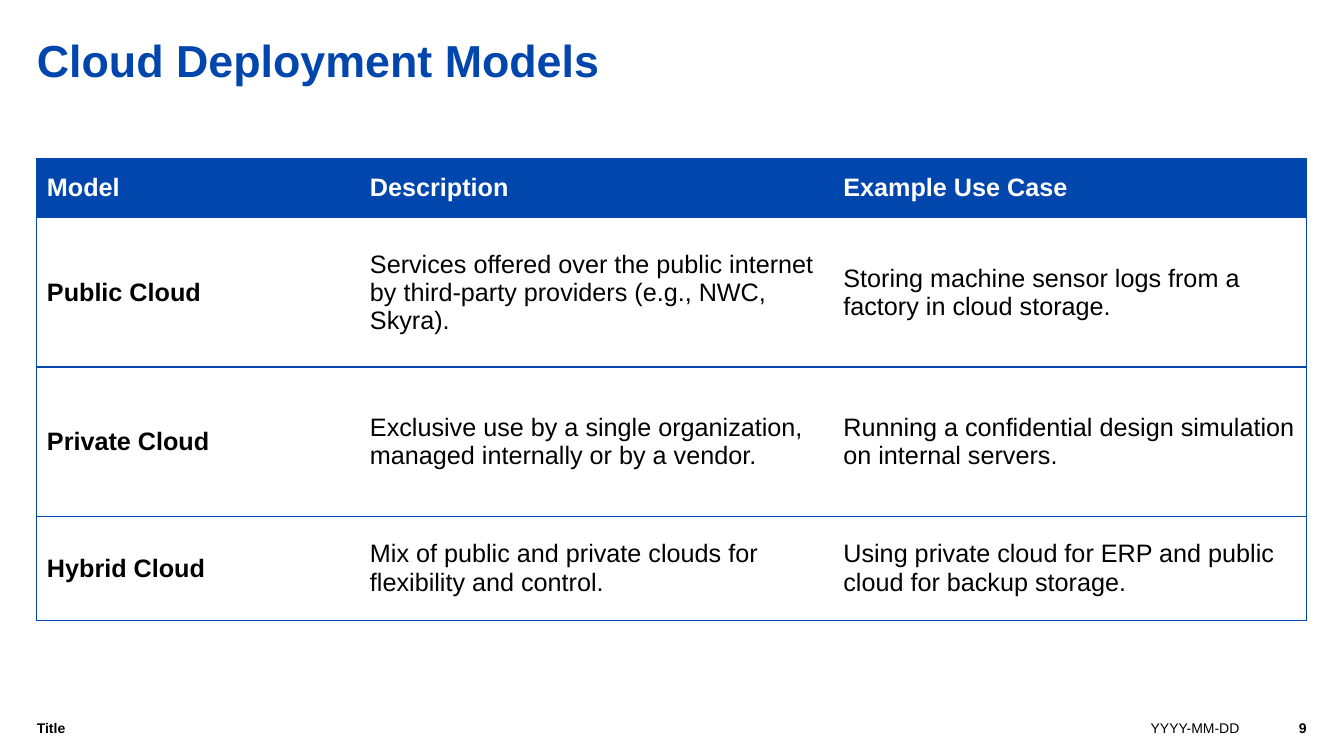
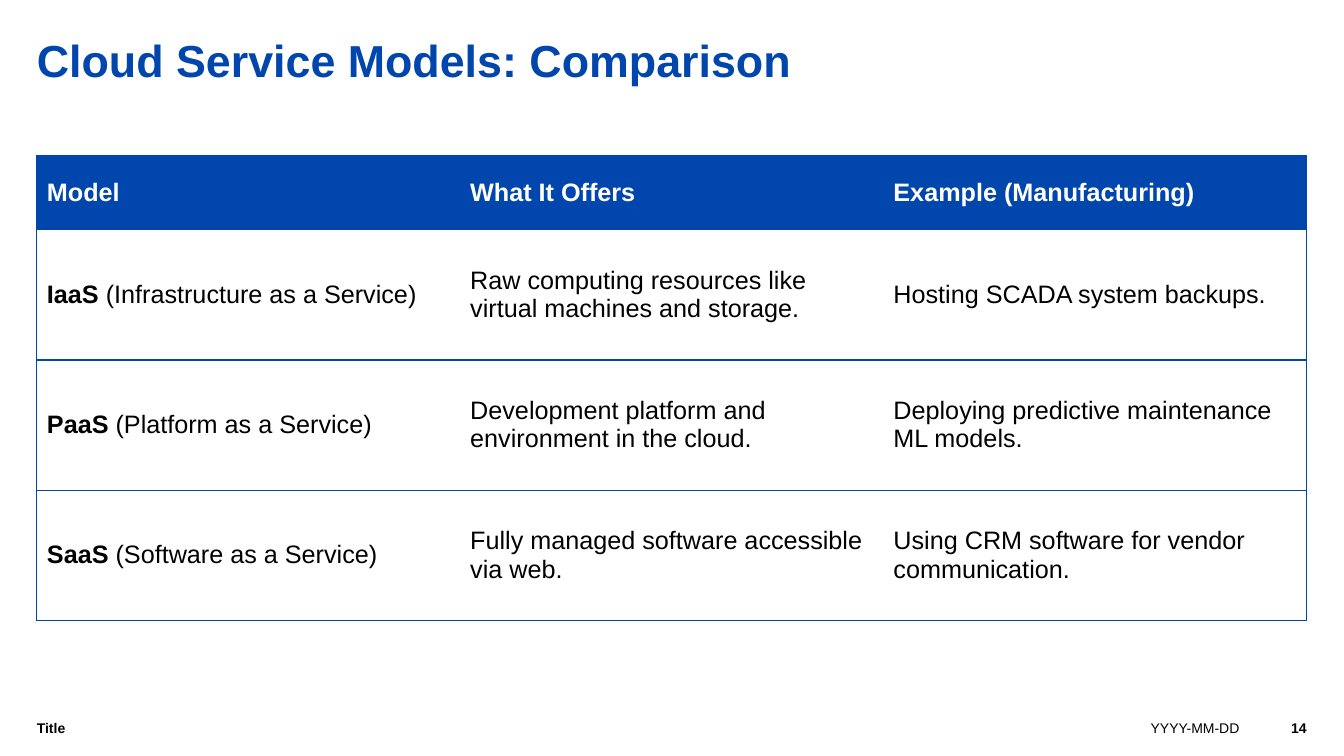
from lxml import etree
from pptx import Presentation
from pptx.dml.color import RGBColor
from pptx.enum.text import MSO_ANCHOR, PP_ALIGN
from pptx.oxml.ns import qn
from pptx.util import Cm, Pt

BLUE = RGBColor(0x00, 0x46, 0xAD)
WHITE = RGBColor(0xFF, 0xFF, 0xFF)
BLACK = RGBColor(0x00, 0x00, 0x00)
LEFT, RIGHT = PP_ALIGN.LEFT, PP_ALIGN.RIGHT
MIDDLE = MSO_ANCHOR.MIDDLE
FONT = "Arial"
MARGIN = 0.93
CONTENT_WIDTH = 32
FOOTER_TOP, FOOTER_HEIGHT = 18.12, 0.9
NUMBER_WIDTH = 1.22

SLIDES = [
    {
        "title": "Cloud Deployment Models",
        "number": "9",
        "top": 3.99,
        "cols": [8.14, 11.93, 11.93],
        "rows": [1.5, 3.76, 3.76, 2.62],
        "cells": [
            ["Model", "Description", "Example Use Case"],
            [("Public Cloud", ""),
             "Services offered over the public internet by third-party providers (e.g., NWC, Skyra).",
             "Storing machine sensor logs from a factory in cloud storage."],
            [("Private Cloud", ""),
             "Exclusive use by a single organization, managed internally or by a vendor.",
             "Running a confidential design simulation on internal servers."],
            [("Hybrid Cloud", ""),
             "Mix of public and private clouds for flexibility and control.",
             "Using private cloud for ERP and public cloud for backup storage."],
        ],
    },
    {
        "title": "Cloud Service Models: Comparison",
        "number": "14",
        "top": 3.92,
        "cols": [CONTENT_WIDTH / 3] * 3,
        "rows": [1.87] + [3.28] * 3,
        "cells": [
            ["Model", "What It Offers", "Example (Manufacturing)"],
            [("IaaS", " (Infrastructure as a Service)"),
             "Raw computing resources like virtual machines and storage.",
             "Hosting SCADA system backups."],
            [("PaaS", " (Platform as a Service)"),
             "Development platform and environment in the cloud.",
             "Deploying predictive maintenance ML models."],
            [("SaaS", " (Software as a Service)"),
             "Fully managed software accessible via web.",
             "Using CRM software for vendor communication."],
        ],
    },
]


def add_text(s, text, left, top, width, height, size, color, bold, align=LEFT):
    tf = s.shapes.add_textbox(Cm(left), Cm(top), Cm(width), Cm(height)).text_frame
    tf.word_wrap = True
    tf.margin_left = tf.margin_top = tf.margin_right = tf.margin_bottom = 0
    p = tf.paragraphs[0]
    p.text = text
    p.alignment = align
    p.font.name = FONT
    p.font.size = Pt(size)
    p.font.bold = bold
    p.font.color.rgb = color


def set_borders(cell, visible):
    tcPr = cell._tc.get_or_add_tcPr()
    for i, side in enumerate("LRTB"):
        ln = etree.Element(qn(f"a:ln{side}"), w=str(Pt(1)))
        if side in visible:
            fill = etree.SubElement(ln, qn("a:solidFill"))
            etree.SubElement(fill, qn("a:srgbClr"), val=str(BLUE))
        else:
            etree.SubElement(ln, qn("a:noFill"))
        tcPr.insert(i, ln)


prs = Presentation()
prs.slide_width, prs.slide_height = Cm(33.87), Cm(19.05)

for data in SLIDES:
    s = prs.slides.add_slide(prs.slide_layouts[6])
    add_text(s, data["title"], MARGIN, 0.82, 29.3, 2.3, 32, BLUE, True)

    cols, rows = data["cols"], data["rows"]
    table = s.shapes.add_table(len(rows), len(cols), Cm(MARGIN), Cm(data["top"]),
                               Cm(CONTENT_WIDTH), Cm(sum(rows))).table
    for column, width in zip(table.columns, cols):
        column.width = Cm(width)
    for row, height in zip(table.rows, rows):
        row.height = Cm(height)

    for i, texts in enumerate(data["cells"]):
        for j, text in enumerate(texts):
            header = i == 0
            cell = table.cell(i, j)
            cell.vertical_anchor = MIDDLE
            cell.fill.solid()
            cell.fill.fore_color.rgb = BLUE if header else WHITE
            set_borders(cell, "TB" + "L" * (j == 0) + "R" * (j == len(cols) - 1))
            p = cell.text_frame.paragraphs[0]
            p.font.name = FONT
            p.font.size = Pt(18)
            p.font.color.rgb = WHITE if header else BLACK
            p.font.bold = header
            strong, plain = text if isinstance(text, tuple) else ("", text)
            for part, bold in ((strong, True), (plain, header)):
                if part:
                    r = p.add_run()
                    r.text = part
                    r.font.bold = bold

    add_text(s, "YYYY-MM-DD", 29, FOOTER_TOP, 2.5, FOOTER_HEIGHT, 10, BLACK, False)
    add_text(s, "Title", MARGIN, FOOTER_TOP, 26.7, FOOTER_HEIGHT, 10, BLACK, True)
    add_text(s, data["number"], MARGIN + CONTENT_WIDTH - NUMBER_WIDTH, FOOTER_TOP,
             NUMBER_WIDTH, FOOTER_HEIGHT, 10, BLACK, True, RIGHT)

prs.save("out.pptx")
